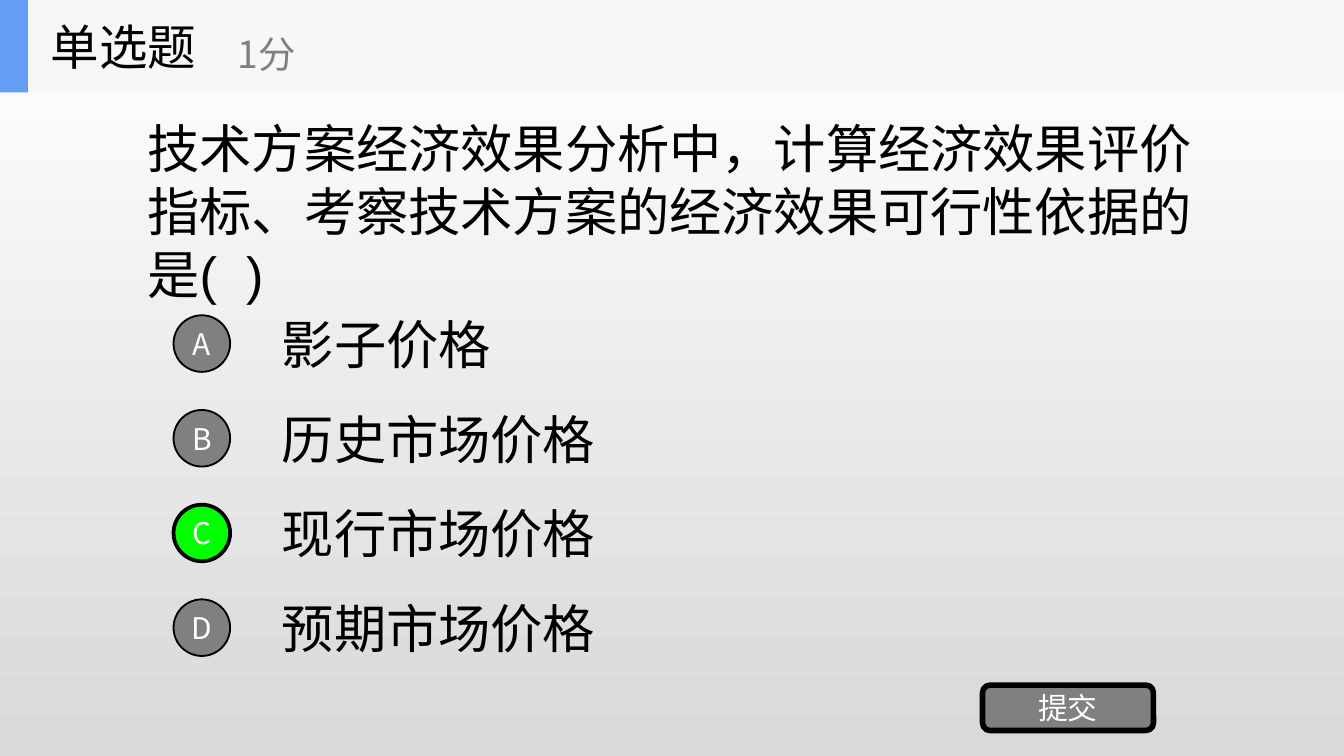
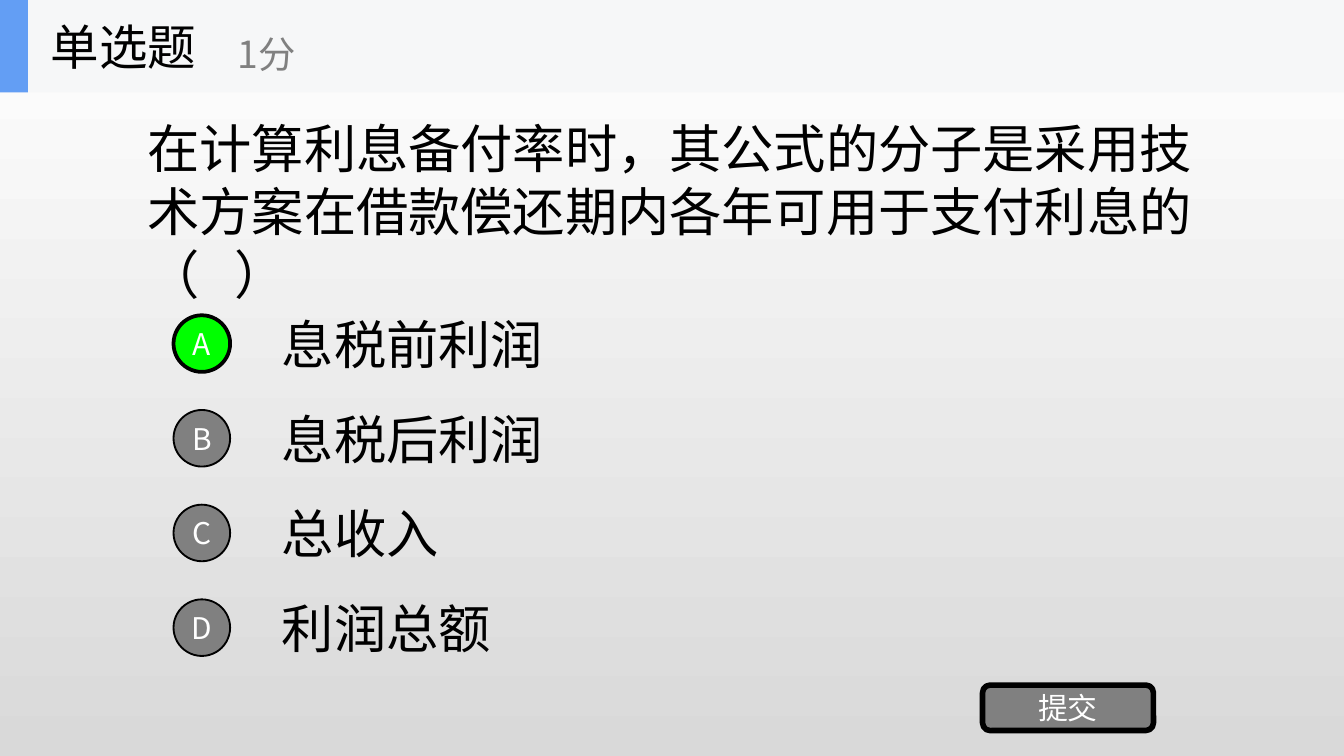
from lxml import etree
from pptx import Presentation
from pptx.dml.color import RGBColor
from pptx.enum.shapes import MSO_SHAPE
from pptx.enum.text import MSO_ANCHOR, PP_ALIGN
from pptx.oxml.ns import qn
from pptx.util import Cm, Pt

LEFT, CENTER = PP_ALIGN.LEFT, PP_ALIGN.CENTER
MIDDLE = MSO_ANCHOR.MIDDLE
RECTANGLE, ROUNDED, OVAL = MSO_SHAPE.RECTANGLE, MSO_SHAPE.ROUNDED_RECTANGLE, MSO_SHAPE.OVAL

QUESTIONS = [
    {
        "text": "技术方案经济效果分析中，计算经济效果评价指标、考察技术方案的经济效果可行性依据的是(  )",
        "options": ["影子价格", "历史市场价格", "现行市场价格", "预期市场价格"],
        "answer": "C",
    },
    {
        "text": "在计算利息备付率时，其公式的分子是采用技术方案在借款偿还期内各年可用于支付利息的（   ）",
        "options": ["息税前利润", "息税后利润", "总收入", "利润总额"],
        "answer": "A",
    },
]
QUESTION_TYPE, SCORE, SUBMIT = "单选题", "1分", "提交"

COLORS = {
    "black": "000000", "white": "FFFFFF", "gray": "808080", "green": "00FF00",
    "shade": "D9D9D9", "band": "F6F7F8", "accent": "639EF4",
}
CJK_FONT = "Noto Sans CJK SC"
STYLES = {
    "body": {"size": Pt(28), "name": "Arial", "color": "black"},
    "type": {"size": Pt(26), "name": CJK_FONT, "color": "black"},
    "score": {"size": Pt(20), "name": CJK_FONT, "color": "gray"},
    "button": {"size": Pt(16), "name": CJK_FONT, "color": "white"},
}

PAGE_WIDTH, PAGE_HEIGHT = 25.4, 14.29
BAND_HEIGHT = 1.75
OPTION_TOP, OPTION_HEIGHT, OPTION_PITCH = 5.82, 1.35, 1.79
CIRCLE_SIZE = 1.07


def rgb(color):
    return RGBColor.from_string(COLORS[color])


def write(shape, text, style, align=LEFT):
    frame = shape.text_frame
    frame.word_wrap = True
    frame.vertical_anchor = MIDDLE
    para = frame.paragraphs[0]
    para.alignment = align
    span = para.add_run()
    span.text = text
    for key, value in STYLES[style].items():
        if key == "color":
            span.font.color.rgb = rgb(value)
        else:
            setattr(span.font, key, value)
    east_asian = etree.SubElement(span.font._element, qn("a:ea"))
    east_asian.set("typeface", CJK_FONT)


def add_text(shapes, area, text, style):
    box = shapes.add_textbox(*map(Cm, area))
    write(box, text, style)


def add_block(shapes, kind, area, fill, line_width=0):
    block = shapes.add_shape(kind, *map(Cm, area))
    block.shadow.inherit = False
    block.fill.solid()
    block.fill.fore_color.rgb = rgb(fill)
    if line_width:
        block.line.color.rgb = rgb("black")
        block.line.width = Pt(line_width)
    else:
        block.line.fill.background()
    return block


def add_button(shapes, kind, area, text, fill, line_width):
    button = add_block(shapes, kind, area, fill, line_width)
    for side in ("left", "top", "right", "bottom"):
        setattr(button.text_frame, f"margin_{side}", 0)
    write(button, text, "button", CENTER)


def set_background(page):
    fill = page.background.fill
    fill.gradient()
    fill.gradient_angle = 270
    for stop, color in zip(fill.gradient_stops, ("white", "shade")):
        stop.color.rgb = rgb(color)


def add_header(page):
    shapes = page.shapes.add_group_shape().shapes
    add_block(shapes, RECTANGLE, (0, 0, PAGE_WIDTH, BAND_HEIGHT), "band")
    add_block(shapes, RECTANGLE, (0, 0, 0.53, BAND_HEIGHT), "accent")
    add_text(shapes, (0.71, 0, 5.28, BAND_HEIGHT), QUESTION_TYPE, "type")
    add_text(shapes, (4.24, 0.3, 6.35, 1.42), SCORE, "score")


def add_question(deck, question):
    page = deck.slides.add_slide(deck.slide_layouts[6])
    set_background(page)
    shapes = page.shapes
    add_text(shapes, (2.54, BAND_HEIGHT, 20.32, 4.47), question["text"], "body")
    for index, (letter, option) in enumerate(zip("ABCD", question["options"])):
        top = OPTION_TOP + index * OPTION_PITCH
        circle_top = top + (OPTION_HEIGHT - CIRCLE_SIZE) / 2
        fill, line_width = ("green", 2) if letter == question["answer"] else ("gray", 1)
        add_text(shapes, (5.08, top, 17.78, OPTION_HEIGHT), option, "body")
        add_button(shapes, OVAL, (3.28, circle_top, CIRCLE_SIZE, CIRCLE_SIZE),
                   letter, fill, line_width)
    add_button(shapes, ROUNDED, (18.57, 12.95, 3.23, 0.86), SUBMIT, "gray", 3)
    add_header(page)


def main():
    deck = Presentation()
    deck.slide_width, deck.slide_height = Cm(PAGE_WIDTH), Cm(PAGE_HEIGHT)
    for question in QUESTIONS:
        add_question(deck, question)
    deck.save("out.pptx")


if __name__ == "__main__":
    main()
